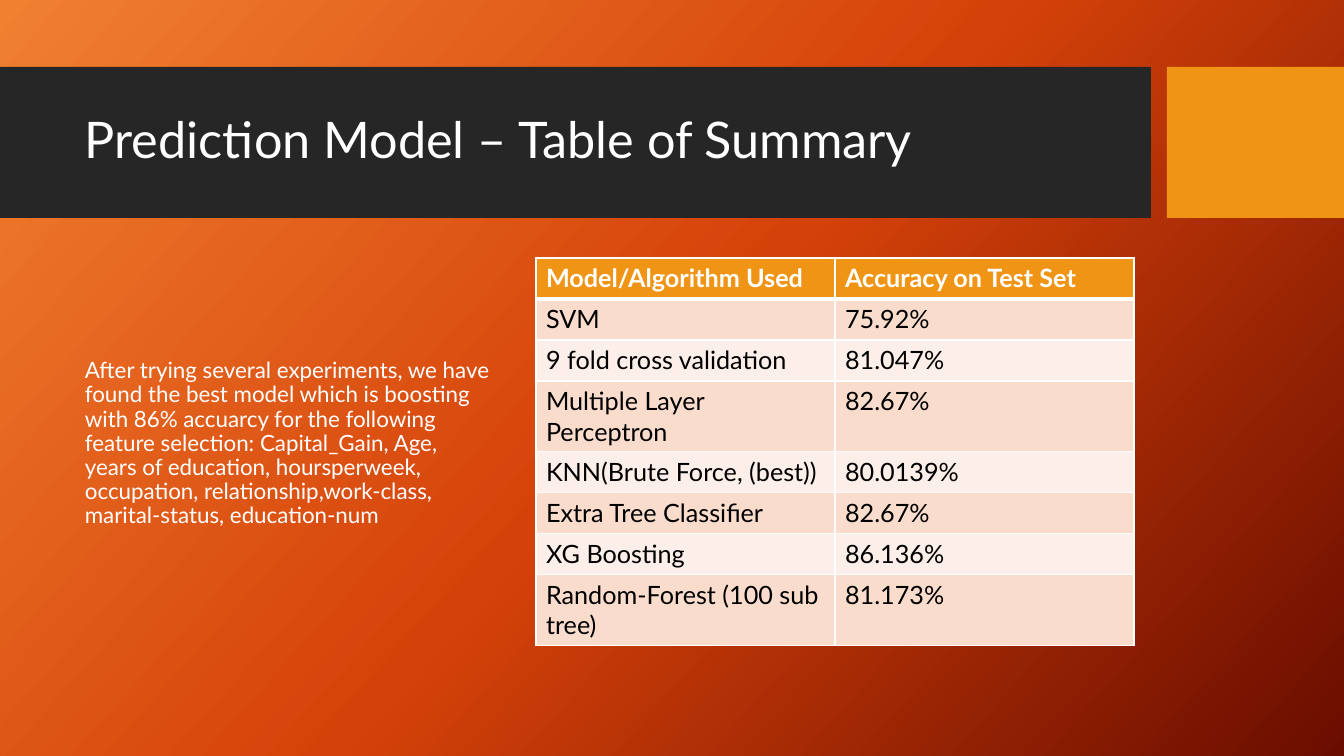
"""Build the slide that sums up the accuracy of each prediction model."""
import copy

import pptx
import pptx.dml.color
import pptx.enum.shapes
import pptx.enum.text
import pptx.oxml
import pptx.oxml.ns
import pptx.util

EMU_PER_PX = 914400 / 100.8
FONT = "Lato"
WHITE, BLACK, CHARCOAL, AMBER = "FFFFFF", "000000", "262626", "F09415"
BANDS = ("FCEEE8", "F9DCCC")
BACKDROP = ((0, "F18031"), (0.5, "D54209"), (1, "6A0D00"))
TITLE = "Prediction Model – Table of Summary"
FINDING = (
    "After trying several experiments, we have found the best model which is "
    "boosting with 86% accuarcy for the following feature selection: "
    "Capital_Gain, Age, years of education, hoursperweek, occupation, "
    "relationship,work-class, marital-status, education-num"
)
RESULTS = (
    ("Model/Algorithm Used", "Accuracy on Test Set"),
    ("SVM", "75.92%"),
    ("9 fold cross validation", "81.047%"),
    ("Multiple Layer Perceptron", "82.67%"),
    ("KNN(Brute Force, (best))", "80.0139%"),
    ("Extra Tree Classifier", "82.67%"),
    ("XG Boosting", "86.136%"),
    ("Random-Forest (100 sub tree)", "81.173%"),
)


def px(length):
    """Turn a length in px into EMU."""
    return pptx.util.Emu(round(length * EMU_PER_PX))


def color(value):
    """Turn a hex string into a colour."""
    return pptx.dml.color.RGBColor.from_string(value)


def paint_background(slide):
    """Fill the slide with the diagonal gradient."""
    fill = slide.background.fill
    fill.gradient()
    fill.gradient_angle = 360 - 42
    stop_list = slide.element.find(".//" + pptx.oxml.ns.qn("a:gsLst"))
    stop_list.append(copy.deepcopy(stop_list[0]))
    for stop, (position, shade) in zip(fill.gradient_stops, BACKDROP):
        stop.position = position
        stop.color.rgb = color(shade)


def add_band(slide, left, width, shade):
    """Add one block of the header strip."""
    band = slide.shapes.add_shape(
        pptx.enum.shapes.MSO_SHAPE.RECTANGLE, px(left), px(67), px(width), px(151))
    band.shadow.inherit = False
    band.fill.solid()
    band.fill.fore_color.rgb = color(shade)
    band.line.fill.background()


def write(frame, text, size, shade, bold=False):
    """Write a paragraph in the slide's font and return it."""
    paragraph = frame.paragraphs[0]
    paragraph.text = text
    font = paragraph.font
    font.name, font.size, font.bold = FONT, pptx.util.Pt(size), bold
    font.color.rgb = color(shade)
    return paragraph


def add_text(slide, left, top, width, height, text, size):
    """Add a white text block centred on its height."""
    frame = slide.shapes.add_textbox(px(left), px(top), px(width), px(height)).text_frame
    frame.word_wrap = True
    frame.vertical_anchor = pptx.enum.text.MSO_ANCHOR.MIDDLE
    write(frame, text, size, WHITE).line_spacing = 0.9


def add_borders(cell, row):
    """Draw white cell borders, thick between the heading and the body."""
    widths = {"L": 1, "R": 1, "T": 3 if row == 1 else 1, "B": 3 if row == 0 else 1}
    for side, points in widths.items():
        cell._tc.get_or_add_tcPr().append(pptx.oxml.parse_xml(
            f'<a:ln{side} {pptx.oxml.ns.nsdecls("a")} w="{pptx.util.Pt(points)}">'
            f'<a:solidFill><a:srgbClr val="{WHITE}"/></a:solidFill></a:ln{side}>'))


def add_results(slide, left, top, column_width, row_height):
    """Add the table of models and their accuracy."""
    table = slide.shapes.add_table(
        len(RESULTS), len(RESULTS[0]), px(left), px(top),
        px(column_width * len(RESULTS[0])), px(row_height * len(RESULTS))).table
    for row, values in enumerate(RESULTS):
        heading = row == 0
        table.rows[row].height = px(row_height)
        for column, value in enumerate(values):
            cell = table.cell(row, column)
            add_borders(cell, row)
            cell.fill.solid()
            cell.fill.fore_color.rgb = color(AMBER if heading else BANDS[row % 2])
            write(cell.text_frame, value, 18, WHITE if heading else BLACK, heading)


def main():
    """Build and save the slide."""
    deck = pptx.Presentation()
    deck.slide_width, deck.slide_height = px(1344), px(756)
    slide = deck.slides.add_slide(deck.slide_layouts[6])
    paint_background(slide)
    add_band(slide, 0, 1151, CHARCOAL)
    add_band(slide, 1167, 177, AMBER)
    add_text(slide, 75, 83, 1059, 119, TITLE, 36)
    add_results(slide, 536, 258, 299, 41)
    add_text(slide, 75, 258, 427, 372, FINDING, 16)
    deck.save("out.pptx")


if __name__ == "__main__":
    main()
